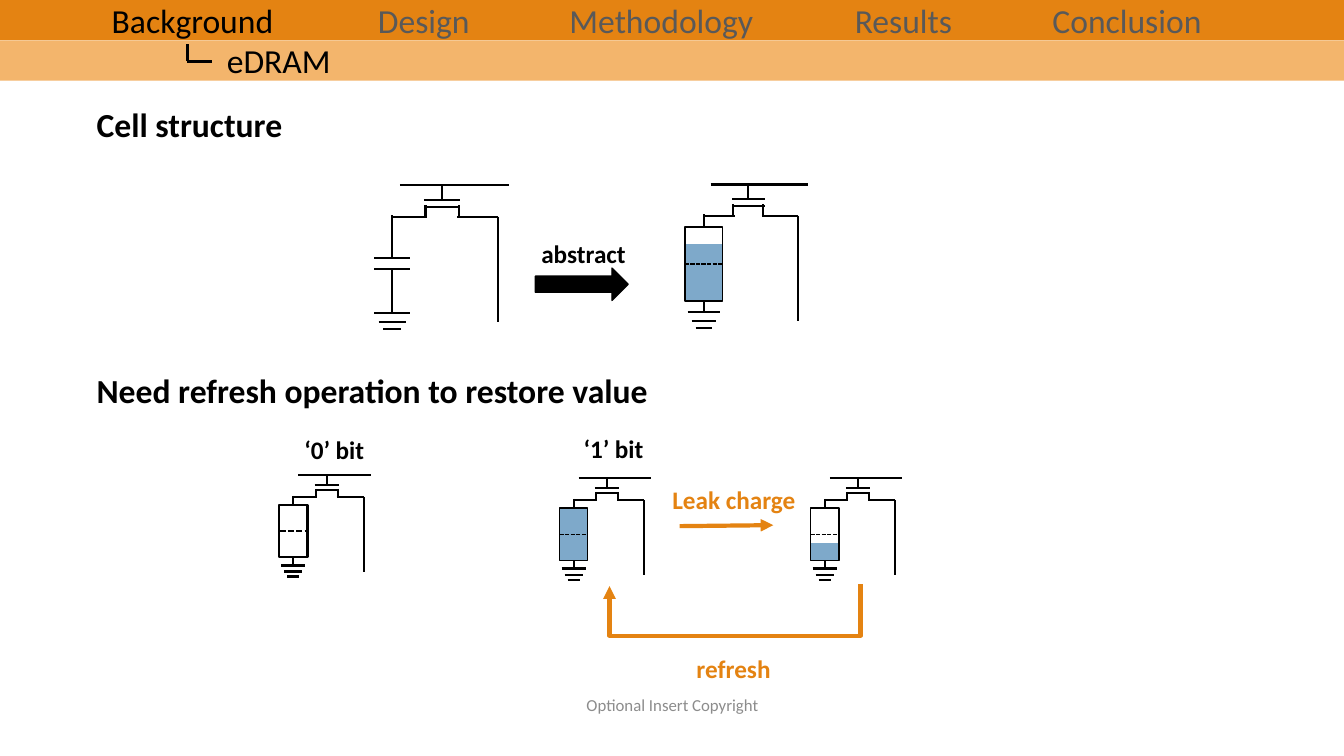
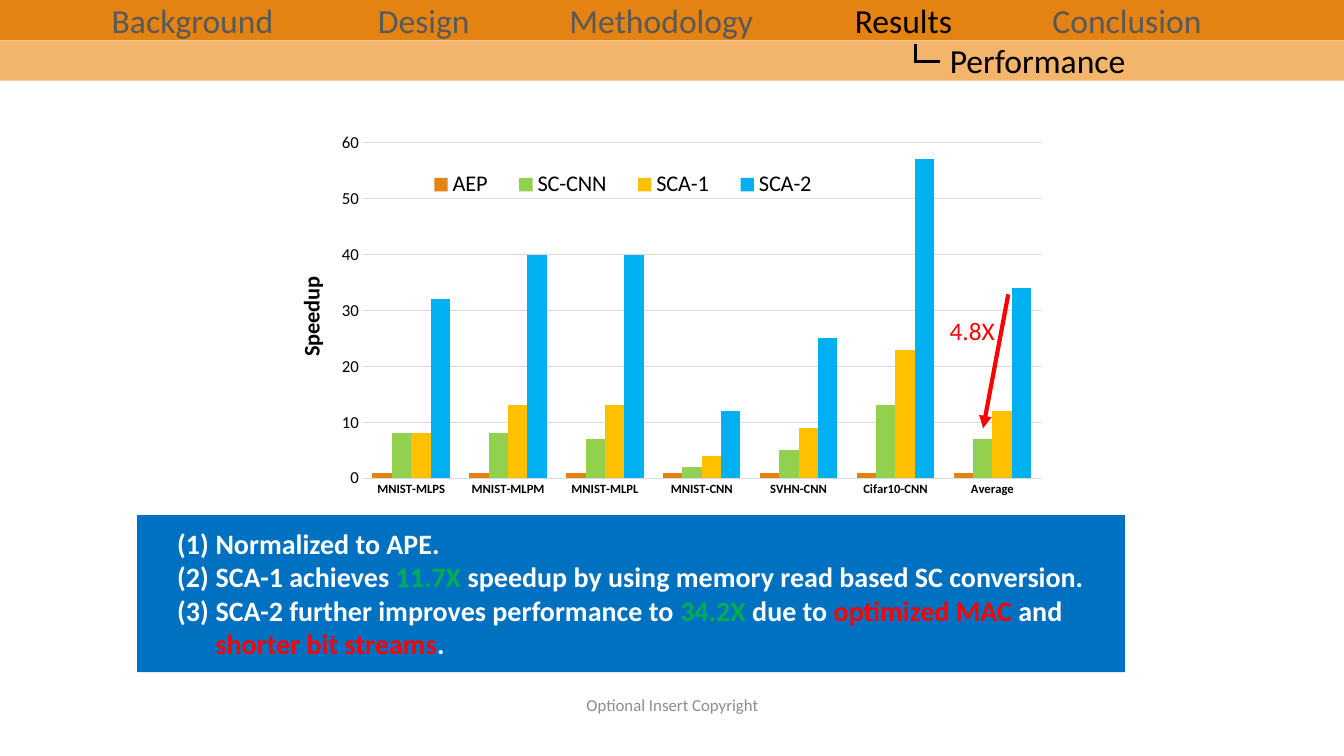
from lxml.etree import SubElement
from pptx import Presentation
from pptx.chart.data import CategoryChartData as Data
from pptx.dml.color import RGBColor
from pptx.enum.chart import XL_CHART_TYPE as Chart, XL_LEGEND_POSITION as Pos, XL_TICK_MARK as Tick
from pptx.enum.dml import MSO_LINE as Dash
from pptx.enum.shapes import MSO_CONNECTOR as Link, MSO_SHAPE as Kind
from pptx.enum.text import MSO_ANCHOR as Anchor, MSO_AUTO_SIZE as Fit, PP_ALIGN as Align
from pptx.oxml.ns import qn
from pptx.util import Inches, Pt

FONT = "Calibri"
BLACK, WHITE, GRAY, PALE, RULE = "000000", "FFFFFF", "595959", "8C8C8C", "D9D9D9"
ORANGE, LIGHT, BLUE, WATER = "E48312", "F3B56C", "0070C0", "7EA9CA"
RED, GREEN = "FF0000", "00B050"
NAV = {"Background": 1.01, "Design": 3.65, "Methodology": 5.55,
       "Results": 8.38, "Conclusion": 10.34}
WIRES = [
    (0.05, 0, 0.77, 0), (0.33, 0, 0.33, 0.1), (0.21, 0.1, 0.45, 0.1),
    (0.22, 0.15, 0.45, 0.15), (0.22, 0.14, 0.22, 0.22), (0.44, 0.14, 0.44, 0.22),
    (0, 0.22, 0.23, 0.22), (0.43, 0.22, 0.7, 0.22), (0.7, 0.22, 0.7, 0.96),
    (-0.12, 0.9, 0.12, 0.9), (-0.09, 0.96, 0.09, 0.96), (-0.06, 1.01, 0.06, 1.01),
]
PLATES = [(-0.12, 0.51, 0.12, 0.51), (-0.12, 0.59, 0.12, 0.59)]


def tint(code):
    return RGBColor.from_string(code)


def style(font, size, color=BLACK, bold=False):
    font.name, font.size, font.bold = FONT, Pt(size), bold
    font.color.rgb = tint(color)


def write(frame, *lines, size=18, color=BLACK, bold=False, align=Align.LEFT,
          wrap=False, anchor=Anchor.TOP, number=None):
    """Fill a frame; a line is a string or a list of strings and (text, color) pairs."""
    frame.word_wrap, frame.vertical_anchor = wrap, anchor
    frame.auto_size = Fit.NONE
    for i, line in enumerate(lines):
        para = frame.paragraphs[0] if i == 0 else frame.add_paragraph()
        para.alignment = align
        if number:
            props = para._p.get_or_add_pPr()
            indent = Inches(0.38)
            props.set("marL", str(indent))
            props.set("indent", str(-indent))
            SubElement(props, qn("a:buFont"), typeface="+mj-lt")
            SubElement(props, qn("a:buAutoNum"), type=number)
        for part in [line] if isinstance(line, str) else line:
            text, shade = (part, color) if isinstance(part, str) else part
            run = para.add_run()
            run.text = text
            style(run.font, size, shade, bold)


def place(node, index, **share):
    """Give a chart part a manual layout in shares of the chart."""
    for old in node.findall(qn("c:layout")):
        node.remove(old)
    layout = node.makeelement(qn("c:layout"))
    node.insert(index, layout)
    manual = SubElement(layout, qn("c:manualLayout"))
    if node.tag == qn("c:plotArea"):
        SubElement(manual, qn("c:layoutTarget"), val="inner")
    for key in ("x", "y"):
        SubElement(manual, qn(f"c:{key}Mode"), val="edge")
    for key, value in share.items():
        SubElement(manual, qn(f"c:{key}"), val=str(value))


class Deck:
    """Holds the presentation, its style and the current slide."""

    def __init__(self):
        self.file = Presentation()
        self.file.slide_width, self.file.slide_height = Inches(13.33), Inches(7.5)

    def start(self, part, title, left, hook):
        slide = self.file.slides.add_slide(self.file.slide_layouts[5])
        self.shapes = slide.shapes
        self.box(0, 0, 13.33, 0.4, fill=ORANGE)
        self.box(0, 0.4, 13.33, 0.4, fill=LIGHT)
        head = slide.shapes.title
        head.left, head.top = Inches(left), Inches(0.35)
        head.width, head.height = Inches(2), Inches(0.5)
        write(head.text_frame, title, size=24)
        slide.shapes._spTree.append(head._element)
        self.line(hook, 0.44, hook, 0.61, width=2.25)
        self.line(hook - 0.01, 0.61, hook + 0.24, 0.61, width=2.25)
        for name, x in NAV.items():
            self.text(x, -0.05, 2.04, 0.5, name, size=24,
                      color=BLACK if name == part else GRAY)
        self.text(4.42, 6.79, 4.5, 0.4, "Optional Insert Copyright", size=12,
                  color=PALE, align=Align.CENTER, anchor=Anchor.MIDDLE)

    def text(self, x, y, w, h, *lines, **form):
        area = self.shapes.add_textbox(Inches(x), Inches(y), Inches(w), Inches(h))
        write(area.text_frame, *lines, **form)

    def box(self, x, y, w, h, fill=None, edge=None, kind=Kind.RECTANGLE):
        shape = self.shapes.add_shape(kind, Inches(x), Inches(y), Inches(w), Inches(h))
        shape.shadow.inherit = False
        if fill:
            shape.fill.solid()
            shape.fill.fore_color.rgb = tint(fill)
        else:
            shape.fill.background()
        if edge:
            shape.line.color.rgb, shape.line.width = tint(BLACK), Pt(edge)
        else:
            shape.line.fill.background()
        return shape

    def line(self, x1, y1, x2, y2, color=BLACK, width=1.5, dash=None, arrow=False,
             kind=Link.STRAIGHT):
        link = self.shapes.add_connector(kind, Inches(x1), Inches(y1), Inches(x2), Inches(y2))
        link.line.color.rgb, link.line.width = tint(color), Pt(width)
        if dash:
            link.line.dash_style = dash
        props = link._element.spPr
        if arrow:
            SubElement(props.find(qn("a:ln")), qn("a:tailEnd"), type="triangle")
        SubElement(props, qn("a:effectLst"))
        return link

    def loop(self, x, y, w, h, bend):
        """Draw an arrow that leaves downwards, turns and comes back up."""
        link = self.line(x, y, x + w, y + h, ORANGE, 3, arrow=True, kind=Link.ELBOW)
        props = link._element.spPr
        props.find(qn("a:xfrm")).set("rot", "5400000")
        shape = props.find(qn("a:prstGeom"))
        values = shape.find(qn("a:avLst"))
        if values is None:
            values = SubElement(shape, qn("a:avLst"))
        SubElement(values, qn("a:gd"), name="adj1", fmla=f"val {round(bend / w * 100000)}")

    def cell(self, x, y, level=None, wide=1, tall=1, edge=1):
        """Draw a memory cell, with a capacitor or a tank filled to a level."""
        page = self.shapes
        self.shapes = page.add_group_shape().shapes

        def wire(x1, y1, x2, y2, **form):
            return self.line(x + x1 * wide, y + y1 * tall,
                             x + x2 * wide, y + y2 * tall, **form)

        for ends in WIRES + (PLATES if level is None else []):
            wire(*ends)
        if level is None:
            wire(0, 0.21, 0, 0.51)
            wire(0, 0.59, 0, 0.9)
        else:
            left, top = x - 0.14 * wide, y + 0.3 * tall
            width, depth = 0.28 * wide, 0.52 * tall
            if level:
                self.box(left, top + depth * (1 - level), width, depth * level, WATER)
            tank = self.box(left, top, width, depth, edge=edge)
            middle = wire(-0.14, 0.56, 0.14, 0.56, width=edge, dash=Dash.SQUARE_DOT)
            middle.begin_connect(tank, 1)
            middle.end_connect(tank, 3)
            wire(0, 0.21, 0, 0.3).end_connect(tank, 0)
            wire(0, 0.82, 0, 0.9).begin_connect(tank, 2)
        self.shapes = page

    def chart(self, x, y, w, h, names, series):
        data = Data()
        data.categories = names
        for name, (_, values) in series.items():
            data.add_series(name, values)
        chart = self.shapes.add_chart(Chart.COLUMN_CLUSTERED, Inches(x), Inches(y),
                                      Inches(w), Inches(h), data).chart
        style(chart.font, 10)
        chart.has_title = False
        plot = chart.plots[0]
        plot.gap_width, plot.overlap, plot.vary_by_categories = 100, 0, False
        for bars, (color, _) in zip(plot.series, series.values()):
            bars.format.fill.solid()
            bars.format.fill.fore_color.rgb = tint(color)
        cats, vals = chart.category_axis, chart.value_axis
        for axis in (cats, vals):
            axis.major_tick_mark = axis.minor_tick_mark = Tick.NONE
        style(cats.tick_labels.font, 9, bold=True)
        style(vals.tick_labels.font, 12)
        vals.minimum_scale, vals.maximum_scale, vals.major_unit = 0, 60, 10
        vals.format.line.fill.background()
        for rule in (cats.format.line, vals.major_gridlines.format.line):
            rule.color.rgb, rule.width = tint(RULE), Pt(0.75)
        run = vals.axis_title.text_frame.paragraphs[0].add_run()
        run.text = "Speedup"
        style(run.font, 16, bold=True)
        chart.has_legend = True
        chart.legend.position, chart.legend.include_in_layout = Pos.BOTTOM, False
        style(chart.legend.font, 16)
        place(chart._chartSpace.chart.plotArea, 0, x=0.12, y=0.04, w=0.86, h=0.8)
        place(chart.legend._element, 1, x=0.18, y=0.09, w=0.54, h=0.1)
        place(vals.axis_title._element, 1, x=0.03, y=0.35)


def cells(deck):
    deck.start("Background", "eDRAM", 2.15, 1.86)
    for y, head in ((0.98, "Cell structure"),
                    (3.62, "Need refresh operation to restore value")):
        deck.text(0.86, y, 5.72, 0.5, head, size=24, bold=True)
    deck.cell(3.89, 1.84, wide=1.5, tall=1.41)
    deck.box(5.31, 2.66, 0.92, 0.32, BLACK, 1, Kind.RIGHT_ARROW)
    deck.cell(6.98, 1.83, 0.77, wide=1.34, tall=1.41)
    deck.cell(2.91, 4.71, 0, edge=1.5)
    deck.cell(5.69, 4.74, 1)
    deck.cell(8.18, 4.74, 0.33)
    deck.line(6.74, 5.22, 7.67, 5.21, ORANGE, 3, arrow=True)
    deck.loop(7.28, 4.56, 0.02, 2.49, 0.51)
    for x, y, w, label, color in (
            (5.27, 2.32, 1.05, "abstract", BLACK), (2.92, 4.26, 0.8, "‘0’ bit", BLACK),
            (5.69, 4.25, 0.8, "‘1’ bit", BLACK), (6.81, 6.43, 0.94, "refresh", ORANGE),
            (6.57, 4.76, 1.43, "Leak charge", ORANGE)):
        deck.text(x, y, w, 0.4, label, color=color, bold=True)


def speed(deck):
    deck.start("Results", "Performance", 9.32, 9.08)
    names = ["MNIST-MLPS", "MNIST-MLPM", "MNIST-MLPL", "MNIST-CNN",
             "SVHN-CNN", "Cifar10-CNN", "Average"]
    deck.chart(2.66, 1.25, 7.82, 4.16, names, {
        "AEP": (ORANGE, [1] * 7),
        "SC-CNN": ("92D050", [8, 8, 7, 2, 5, 13, 7]),
        "SCA-1": ("FFC000", [8, 13, 13, 4, 9, 23, 12]),
        "SCA-2": ("00B0F0", [32, 40, 40, 12, 25, 57, 34]),
    })
    deck.line(10, 2.92, 9.75, 4.25, RED, 3, arrow=True)
    deck.text(9.32, 3.08, 0.65, 0.4, "4.8X", color=RED)
    deck.box(1.36, 5.11, 9.8, 1.56, BLUE)
    deck.text(
        1.66, 5.17, 9.34, 1.45, "Normalized to APE.",
        ["SCA-1 achieves ", ("11.7X", GREEN),
         " speedup by using memory read based SC conversion."],
        ["SCA-2 further improves performance to ", ("34.2X", GREEN), " due to ",
         ("optimized MAC ", RED), "and ", ("shorter bit streams", RED), "."],
        size=20, color=WHITE, bold=True, wrap=True, number="arabicParenBoth")


def main():
    deck = Deck()
    cells(deck)
    speed(deck)
    deck.file.save("out.pptx")


if __name__ == "__main__":
    main()
